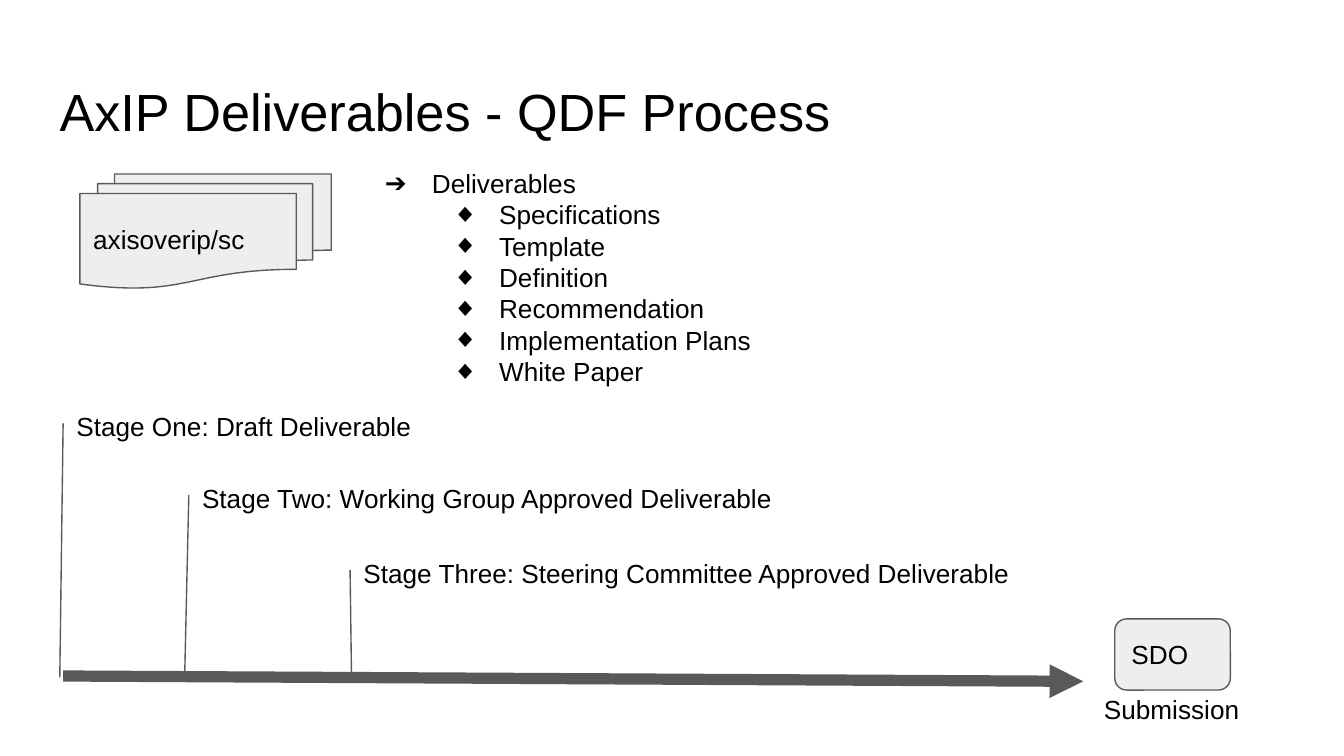
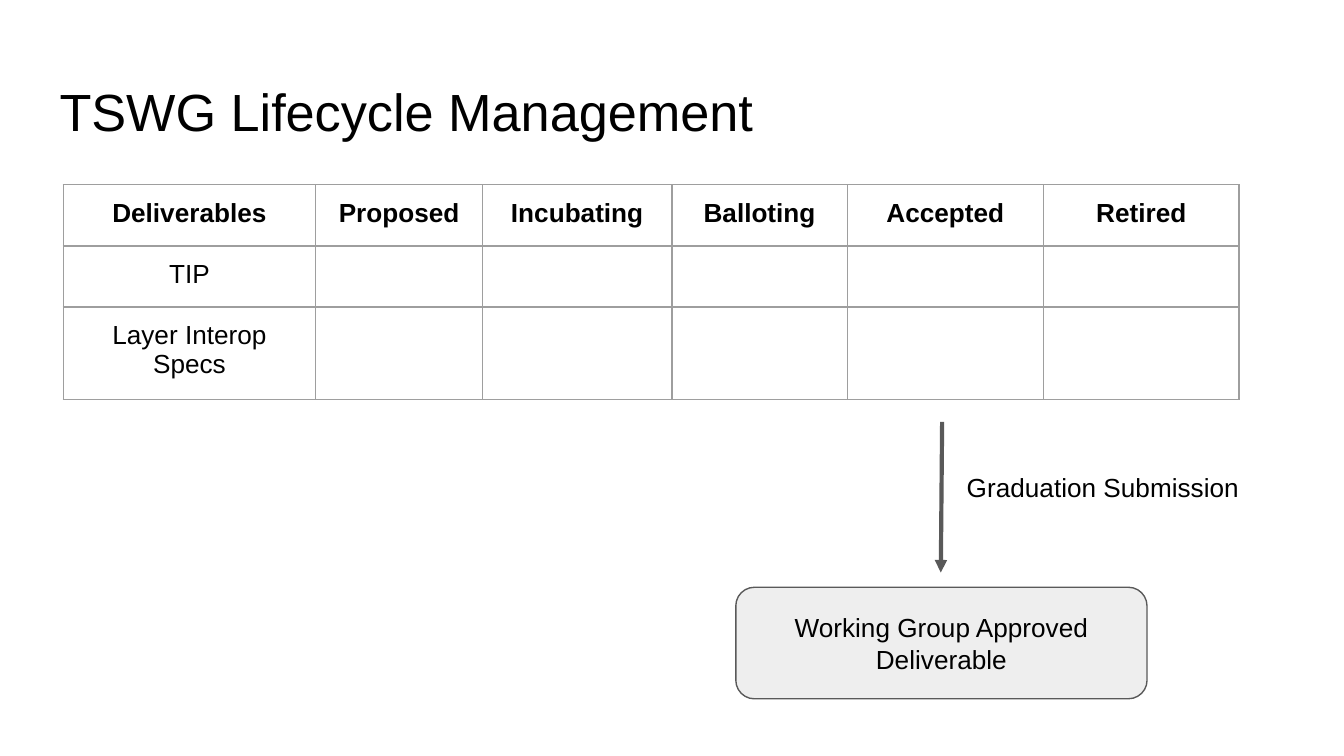
from lxml.etree import SubElement
from pptx import Presentation
from pptx.dml.color import RGBColor
from pptx.enum.shapes import MSO_CONNECTOR as Conn, MSO_SHAPE as Shape
from pptx.enum.text import MSO_ANCHOR as Anchor, PP_ALIGN as Align
from pptx.oxml.ns import qn
from pptx.util import Emu, Pt

SCALE = 4572  # EMU per px, 200 px to the inch
BLACK = RGBColor(0x00, 0x00, 0x00)
DARK = RGBColor(0x59, 0x59, 0x59)
PALE = RGBColor(0xEE, 0xEE, 0xEE)
GRID = RGBColor(0x9E, 0x9E, 0x9E)
FONT = "Arial"
SIZE = 14
PAD = 20


def px(*vals):
    return [Emu(v * SCALE) for v in vals]


class Deck:
    """Holds the style and the current slide."""

    def __init__(self, wide, high):
        self.prs = Presentation()
        self.prs.slide_width, self.prs.slide_height = px(wide, high)

    def page(self, title):
        self.slide = self.prs.slides.add_slide(self.prs.slide_layouts[6])
        self.text(title, 69, 98, 1864, 126, size=28)

    def style(self, para, size=SIZE, bold=False):
        for run in para.runs:
            font = run.font
            font.name, font.size, font.bold = FONT, Pt(size), bold
            font.color.rgb = BLACK

    def frame(self, frame, text, size=SIZE, anchor=Anchor.TOP):
        """Fill a text frame, one paragraph a line, and return the paragraphs."""
        frame.word_wrap = True
        frame.vertical_anchor = anchor
        (frame.margin_left, frame.margin_right,
         frame.margin_top, frame.margin_bottom) = px(*[PAD] * 4)
        frame.text = text
        for para in frame.paragraphs:
            para.alignment = Align.LEFT
            self.style(para, size)
        return frame.paragraphs

    def text(self, text, x, y, w, h, size=SIZE, anchor=Anchor.TOP):
        box = self.slide.shapes.add_textbox(*px(x, y, w, h))
        return self.frame(box.text_frame, text, size, anchor)

    def label(self, text, x, y, w):
        para = self.text(text, x, y, w, 126, anchor=Anchor.MIDDLE)[0]
        para.line_spacing = 1.15
        para.space_before, para.space_after = Pt(18), Pt(4)

    def shape(self, kind, text, x, y, w, h, align=Align.LEFT):
        shape = self.slide.shapes.add_shape(kind, *px(x, y, w, h))
        shape.shadow.inherit = False
        shape.fill.solid()
        shape.fill.fore_color.rgb = PALE
        shape.line.color.rgb = DARK
        shape.line.width = Pt(0.75)
        para = self.frame(shape.text_frame, text, anchor=Anchor.MIDDLE)[0]
        para.alignment = align

    def line(self, x1, y1, x2, y2, width=0.75, arrow=False):
        line = self.slide.shapes.add_connector(
            Conn.STRAIGHT, *px(x1, y1, x2, y2))
        line.line.color.rgb = DARK
        line.line.width = Pt(width)
        props = line._element.spPr
        if arrow:
            SubElement(props.find(qn("a:ln")), qn("a:tailEnd"), type="triangle")
        SubElement(props, qn("a:effectLst"))

    def list(self, items, x, y, w, h):
        """Add a bulleted list from pairs of level and text."""
        paras = self.text("\n".join(t for _, t in items), x, y, w, h)
        for para, (level, _) in zip(paras, items):
            para.level = level
            props = para._p.get_or_add_pPr()
            left, hang = px(100 * (level + 1), -70)
            props.set("marL", str(left))
            props.set("indent", str(hang))
            color = SubElement(props, qn("a:buClr"))
            SubElement(color, qn("a:srgbClr"), val=str(BLACK))
            SubElement(props, qn("a:buSzPts"), val=str(SIZE * 100))
            SubElement(props, qn("a:buFont"), typeface=FONT)
            SubElement(props, qn("a:buChar"), char="➔◆"[level])

    def cell(self, cell, text, bold):
        para = self.frame(cell.text_frame, text)[0]
        para.alignment = Align.CENTER
        self.style(para, bold=bold)
        if not text:
            SubElement(para._p, qn("a:endParaRPr"), sz=str(SIZE * 100))
        (cell.margin_left, cell.margin_right,
         cell.margin_top, cell.margin_bottom) = px(*[PAD] * 4)
        props = cell._tc.get_or_add_tcPr()
        for side in "LRTB":
            edge = SubElement(props, qn(f"a:ln{side}"), w=str(Pt(0.75)))
            fill = SubElement(edge, qn("a:solidFill"))
            SubElement(fill, qn("a:srgbClr"), val=str(GRID))
        cell.fill.background()

    def table(self, rows, x, y, cols, highs):
        """Add a table whose first row is bold; short rows end in empty cells."""
        table = self.slide.shapes.add_table(
            len(highs), len(cols), *px(x, y, sum(cols), sum(highs))).table
        table.first_row = table.horz_banding = False
        for col, wide in zip(table.columns, px(*cols)):
            col.width = wide
        for r, (row, high) in enumerate(zip(rows, px(*highs))):
            table.rows[r].height = high
            for c in range(len(cols)):
                text = row[c] if c < len(row) else ""
                self.cell(table.cell(r, c), text, bold=r == 0)


def process(deck):
    deck.page("AxIP Deliverables - QDF Process")
    deck.shape(Shape.FLOWCHART_MULTIDOCUMENT, "axisoverip/sc",
               119, 259, 374, 170)
    deck.line(94, 1006, 1612, 1014, width=6, arrow=True)
    deck.shape(Shape.ROUNDED_RECTANGLE, "SDO", 1659, 921, 172, 106)
    stages = [
        ("Stage One: Draft Deliverable", 94, 568, 688, 89, 1008),
        ("Stage Two: Working Group Approved Deliverable",
         281, 675, 906, 275, 1000),
        ("Stage Three: Steering Committee Approved Deliverable",
         521, 786, 1022, 523, 1000),
    ]
    for text, x, y, w, foot, base in stages:
        deck.label(text, x, y, w)
        deck.line(foot, base, x, y + 62)
    deck.label("Submission", 1623, 988, 276)
    kinds = ["Specifications", "Template", "Definition", "Recommendation",
             "Implementation Plans", "White Paper"]
    deck.list([(0, "Deliverables")] + [(1, kind) for kind in kinds],
              523, 229, 784, 364)


def cycle(deck):
    deck.page("TSWG Lifecycle Management")
    deck.shape(Shape.ROUNDED_RECTANGLE, "Working Group Approved Deliverable",
               1095, 874, 612, 166, Align.CENTER)
    deck.label("Graduation Submission", 1419, 658, 446)
    rows = [
        ["Deliverables", "Proposed", "Incubating", "Balloting", "Accepted",
         "Retired"],
        ["TIP"],
        ["Layer Interop Specs"],
    ]
    deck.table(rows, 94, 275, [376, 248, 282, 261, 292, 291], [91, 91, 138])
    deck.line(1402, 628, 1400, 852, width=2.25, arrow=True)


def main():
    deck = Deck(2000, 1125)
    process(deck)
    cycle(deck)
    deck.prs.save("out.pptx")


if __name__ == "__main__":
    main()
